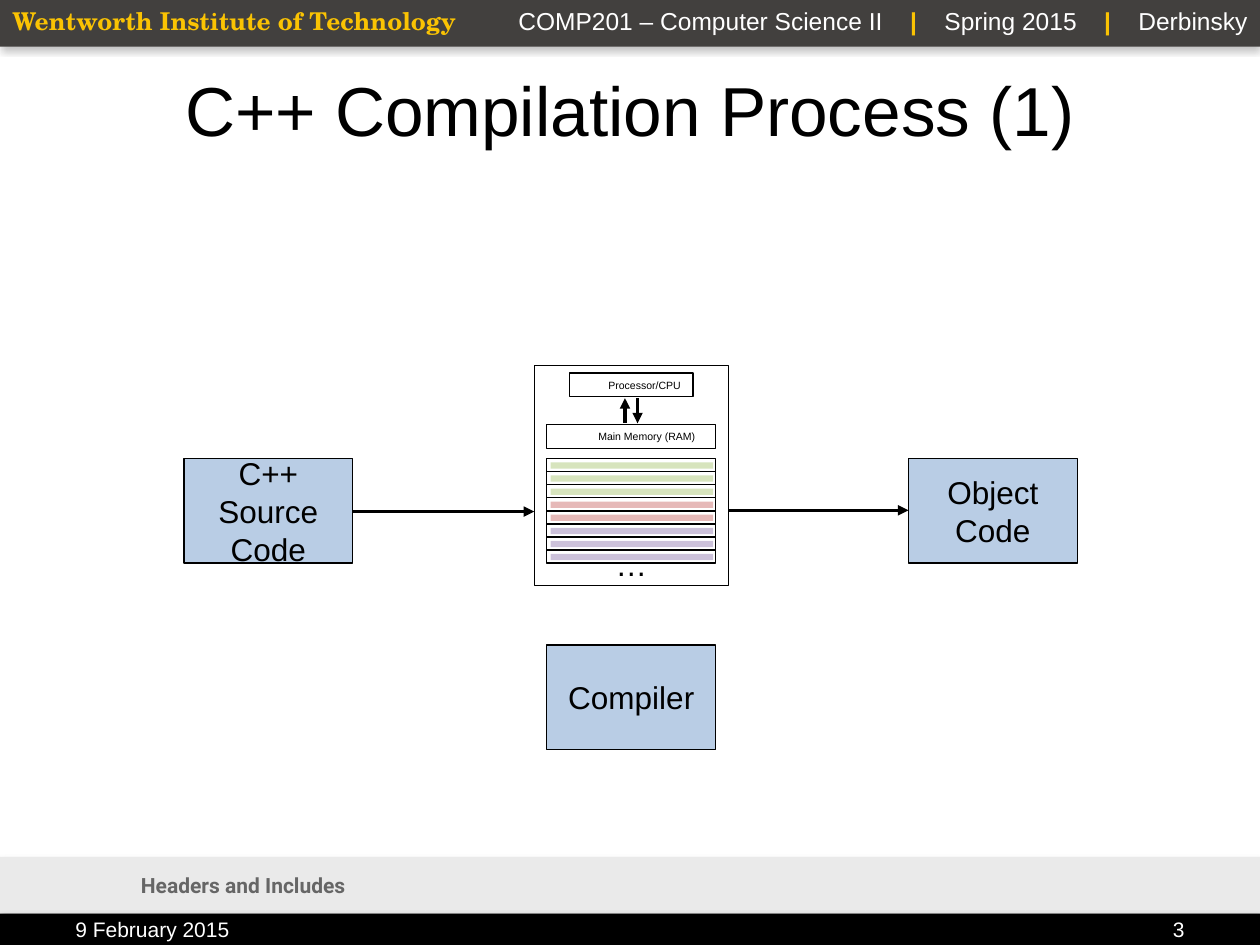
from dataclasses import dataclass

from lxml import etree
from pptx import Presentation
from pptx import util as u
from pptx.dml.color import RGBColor
from pptx.enum import shapes, text
from pptx.oxml.ns import qn

LEFT, MID, RIGHT = text.PP_ALIGN.LEFT, text.PP_ALIGN.CENTER, text.PP_ALIGN.RIGHT


@dataclass(frozen=True)
class Theme:
    # Colours
    black: str = "000000"
    white: str = "FFFFFF"
    gold: str = "FAC303"
    grey: str = "666666"
    band: str = "EAEAEA"
    head: str = "42403E"
    blue: str = "B9CDE5"
    green: str = "D7E4BD"
    red: str = "E6B9B8"
    mauve: str = "CCC1DA"
    # Fonts
    sans: str = "Arial"
    serif: str = "TeX Gyre Schola"
    label: str = "Roboto"
    # Type sizes and line widths in points
    title: float = 39.6
    body: float = 18
    bar: float = 14
    foot: float = 12
    tiny: float = 6
    thin: float = 0.75
    thick: float = 2
    gap: float = 11.67  # extra width of the space beside a header divider


class Deck:
    def __init__(self, theme, slide):
        self.theme, self.slide = theme, slide

    def style(self, run, size, color, font=None, bold=False):
        face = run.font
        face.size, face.bold = u.Pt(size), bold
        face.name = font or self.theme.sans
        face.color.rgb = RGBColor.from_string(color)

    def rect(self, left, top, wide, high, fill=None, line=False, shade=False):
        box = self.slide.shapes.add_shape(
            shapes.MSO_SHAPE.RECTANGLE, *map(u.Inches, (left, top, wide, high)))
        box.shadow.inherit = False
        if fill:
            box.fill.solid()
            box.fill.fore_color.rgb = RGBColor.from_string(fill)
        else:
            box.fill.background()
        if line:
            box.line.color.rgb = RGBColor.from_string(self.theme.black)
            box.line.width = u.Pt(self.theme.thin)
        else:
            box.line.fill.background()
        if shade:
            self.shade(box)
        return box

    def shade(self, box):
        glow = etree.SubElement(
            box._element.spPr.find(qn("a:effectLst")), qn("a:outerShdw"),
            blurRad=str(u.Pt(4)), dist=str(u.Pt(2)), dir="5400000", rotWithShape="0")
        tint = etree.SubElement(glow, qn("a:srgbClr"), val=self.theme.grey)
        etree.SubElement(tint, qn("a:alpha"), val="40000")

    def node(self, left, top, words):
        box = self.rect(left, top, CELL, TALL, self.theme.blue, line=True)
        frame = box.text_frame
        frame.word_wrap, frame.vertical_anchor = True, text.MSO_ANCHOR.MIDDLE
        frame.text = words
        para = frame.paragraphs[0]
        para.alignment = MID
        self.style(para.runs[0], self.theme.body, self.theme.black)

    def text(self, left, top, wide, high, words, size, color, font=None,
             bold=False, align=LEFT, middle=False, wrap=True):
        box = self.slide.shapes.add_textbox(*map(u.Inches, (left, top, wide, high)))
        frame = box.text_frame
        frame.word_wrap = wrap
        frame.vertical_anchor = text.MSO_ANCHOR.MIDDLE if middle else text.MSO_ANCHOR.TOP
        frame.text = words
        para = frame.paragraphs[0]
        para.alignment = align
        for run in para.runs:
            self.style(run, size, color, font, bold)
        return para

    def trail(self, para, parts):
        """Add parts to a header line, with a wide gold divider before each."""
        look = self.theme
        for part in parts:
            for word in (" ", "|", " ", part):
                run = para.add_run()
                run.text = word
                mark = word == "|"
                self.style(run, look.bar, look.gold if mark else look.white, bold=mark)
                if word == " ":
                    run._r.get_or_add_rPr().set("spc", str(round(look.gap * 100)))

    def line(self, start, end, width, arrow=False):
        link = self.slide.shapes.add_connector(
            shapes.MSO_CONNECTOR.STRAIGHT, *map(u.Inches, (*start, *end)))
        link.line.color.rgb = RGBColor.from_string(self.theme.black)
        link.line.width = u.Pt(width)
        if arrow:
            etree.SubElement(link.line._get_or_add_ln(), qn("a:headEnd"), type="triangle")
        etree.SubElement(link._element.spPr, qn("a:effectLst"))


# Shared grid in inches
CELL, TALL = 1.34, 0.83
COL, ROW = 4.34, 3.64


def frame(deck):
    look = deck.theme
    # Bars
    for top, high, fill in ((6.8, 0.45, look.band), (7.25, 0.25, look.black),
                            (0, 0.37, look.head)):
        deck.rect(0, top, 10, high, fill, shade=True)
    # Header
    deck.text(0, 0, 3.76, 0.34, "Wentworth Institute of Technology",
              look.bar, look.gold, look.serif, bold=True)
    para = deck.text(3.76, 0, 6.24, 0.34, "COMP201 – Computer Science II",
                     look.bar, look.white, align=RIGHT)
    deck.trail(para, ("Spring 2015", "Derbinsky"))
    # Title
    deck.text(0.5, 0.53, 9, 0.66, "C++ Compilation Process (1)",
              look.title, look.black, align=MID, middle=True)
    # Footer
    deck.text(0.5, 7.25, 2.51, 0.25, "9 February 2015",
              look.foot, look.white, middle=True)
    deck.text(1.02, 6.86, 8.48, 0.33, "Headers and Includes",
              look.foot, look.grey, look.label, bold=True, middle=True)
    deck.text(8.31, 7.25, 1.19, 0.25, "3",
              look.foot, look.white, align=RIGHT, middle=True)


def machine(deck):
    look = deck.theme
    # Case, processor and memory labels
    deck.rect(4.24, 2.9, 1.54, 1.75, line=True)
    deck.text(4.73, 2.96, 0.78, 0.2, "Processor/CPU",
              look.tiny, look.black, middle=True, wrap=False)
    deck.rect(4.52, 2.96, 0.98, 0.19, line=True)
    deck.text(4.65, 3.36, 0.98, 0.2, "Main Memory (RAM)",
              look.tiny, look.black, wrap=False)
    deck.rect(COL, 3.37, CELL, 0.19, line=True)
    # Memory cells
    fills = [look.green] * 3 + [look.red] * 2 + [look.mauve] * 3
    step = TALL / len(fills)
    deck.rect(COL, ROW, CELL, TALL, line=True)
    for i in range(1, len(fills)):
        y = ROW + i * step
        deck.line((COL, y), (COL + CELL, y), look.thin)
    deck.text(COL, 4.28, CELL, 0.18, "…", look.body, look.black, align=MID)
    # Traffic between processor and memory
    deck.line((4.96, 3.16), (4.96, 3.36), look.thick, arrow=True)
    deck.line((5.06, 3.36), (5.06, 3.16), look.thick, arrow=True)
    # Cell contents
    for i, fill in enumerate(fills):
        deck.rect(4.37, ROW + 0.03 + i * step, 1.29, 0.05, fill)


def flow(deck):
    look = deck.theme
    deck.node(COL, 5.12, "Compiler")
    deck.node(1.46, ROW, "C++ Source Code")
    deck.line((4.24, 4.06), (2.8, 4.06), look.thick, arrow=True)
    deck.node(7.21, ROW, "Object Code")
    deck.line((7.21, 4.05), (5.78, 4.05), look.thick, arrow=True)


def main():
    show = Presentation()
    show.slide_width, show.slide_height = u.Inches(10), u.Inches(7.5)
    deck = Deck(Theme(), show.slides.add_slide(show.slide_layouts[6]))
    frame(deck)
    machine(deck)
    flow(deck)
    show.save("out.pptx")


if __name__ == "__main__":
    main()
